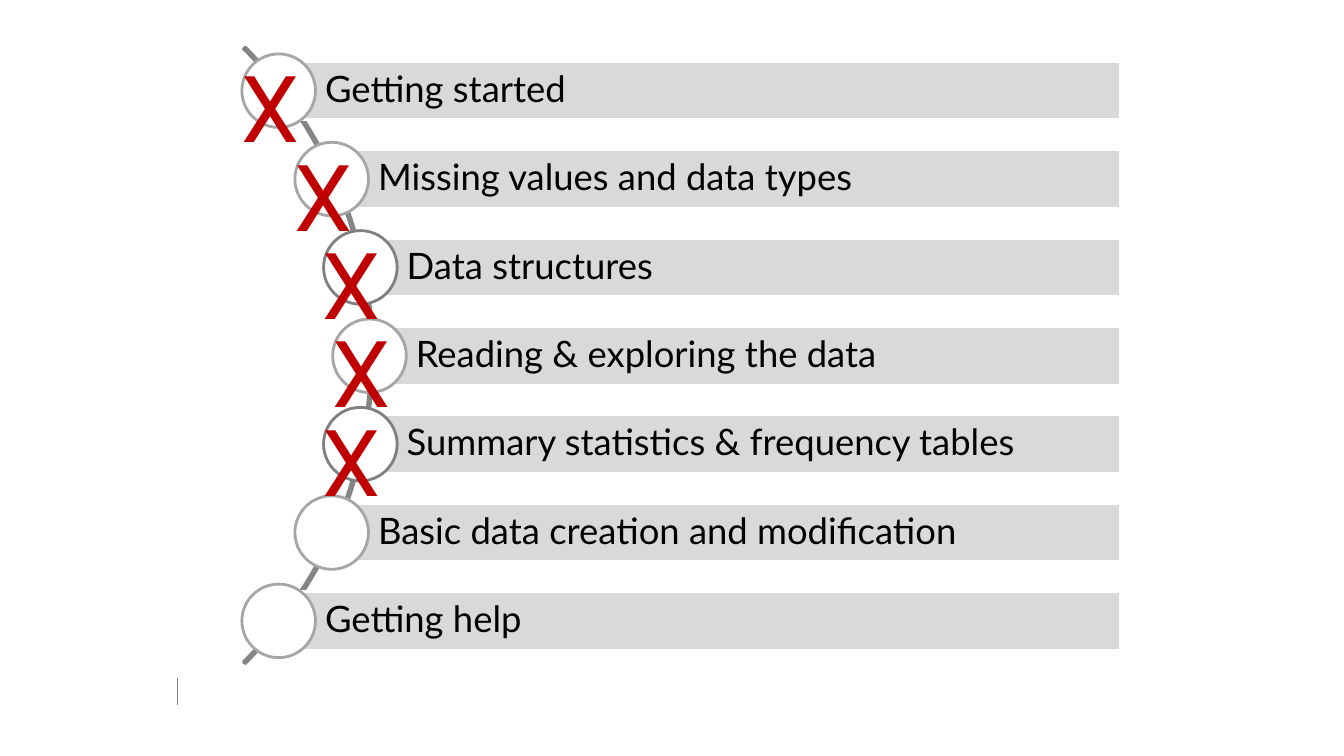
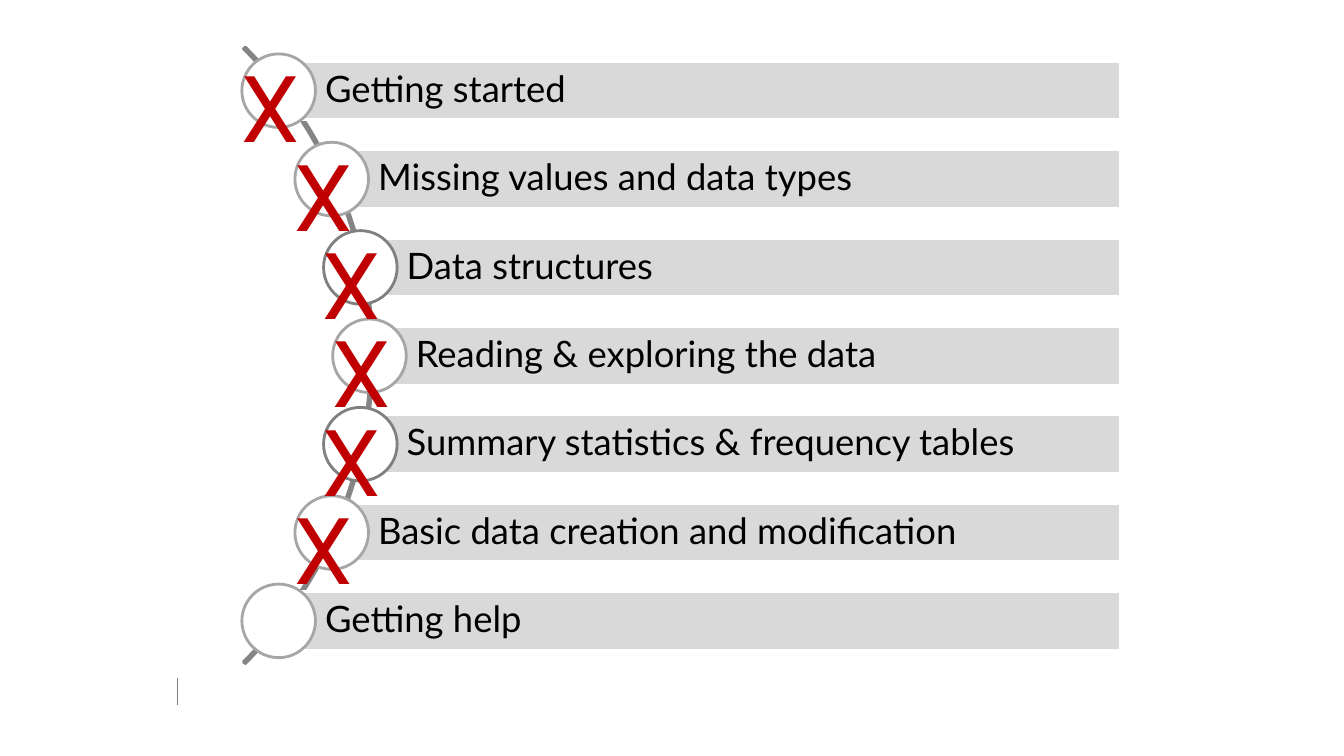
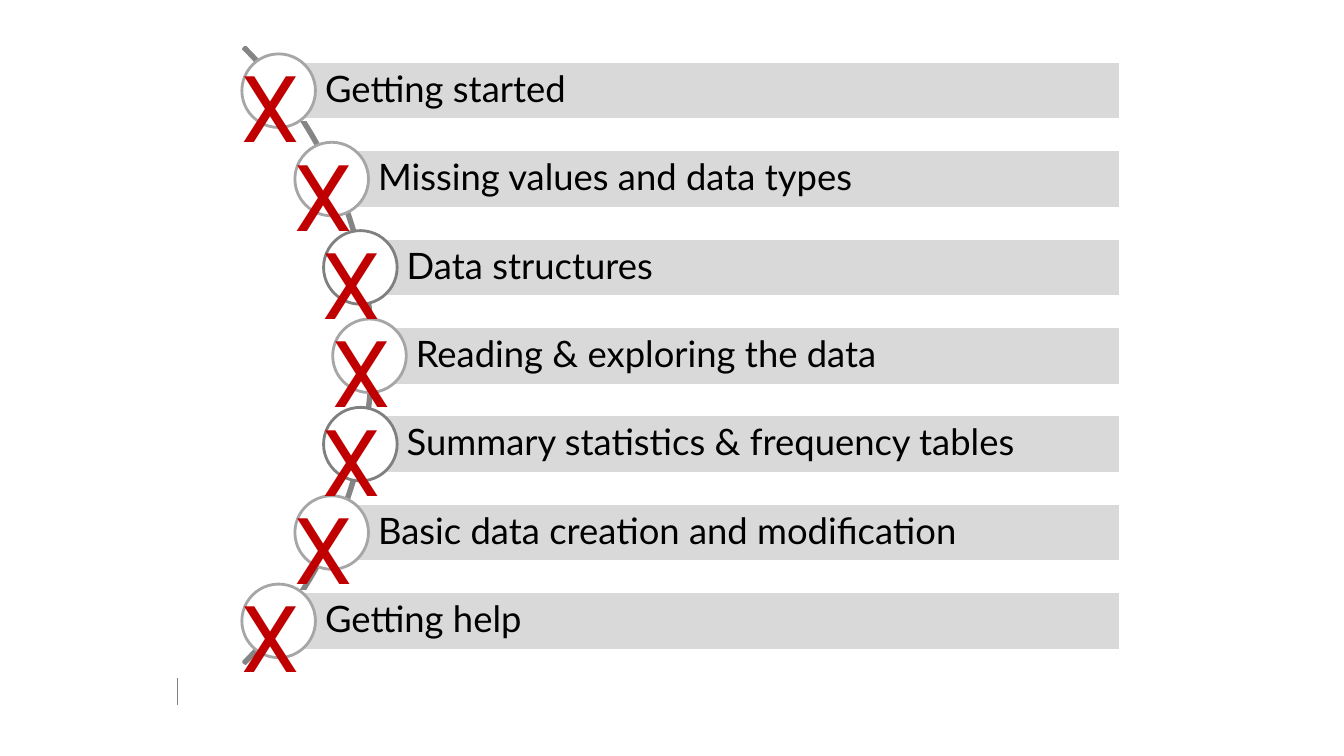
from dataclasses import dataclass
from math import sqrt

from lxml.etree import SubElement
from pptx import Presentation
from pptx.dml.color import RGBColor
from pptx.enum.shapes import MSO_CONNECTOR as Connector, MSO_SHAPE as Preset
from pptx.enum.text import MSO_ANCHOR as Anchor, MSO_AUTO_SIZE as AutoSize, PP_ALIGN as Align
from pptx.oxml.ns import qn
from pptx.util import Inches, Pt


@dataclass(frozen=True)
class Theme:
    white: str = "FFFFFF"
    text: str = "000000"
    bar: str = "D9D9D9"
    arc: str = "858585"
    light_ring: str = "A6A6A6"
    dark_ring: str = "808080"
    mark: str = "C00000"
    label_font: str = "Lato"
    mark_font: str = "Roboto"
    label_size: int = 26
    mark_size: int = 66
    outline: int = 2
    hairline: float = 0.25


theme = Theme()


def add_preset(slide, preset, left, top, width, height, fill=None, line=theme.white):
    shape = slide.shapes.add_shape(
        preset, Inches(left), Inches(top), Inches(width), Inches(height))
    shape.shadow.inherit = False
    if fill:
        shape.fill.solid()
        shape.fill.fore_color.rgb = RGBColor.from_string(fill)
    else:
        shape.fill.background()
    shape.line.color.rgb = RGBColor.from_string(line)
    shape.line.width = Pt(theme.outline)
    return shape


def write_text(shape, text, *, font, size, color, wrap=True, anchor=Anchor.TOP,
               auto_size=AutoSize.NONE, insets=(0.1, 0.05, 0.1, 0.05),
               line_spacing=1.0, space_before=0):
    frame = shape.text_frame
    frame.word_wrap, frame.auto_size, frame.vertical_anchor = wrap, auto_size, anchor
    (frame.margin_left, frame.margin_top,
     frame.margin_right, frame.margin_bottom) = map(Inches, insets)
    paragraph = frame.paragraphs[0]
    paragraph.alignment = Align.LEFT
    paragraph.line_spacing = line_spacing
    paragraph.space_before = Pt(space_before)
    run = paragraph.add_run()
    run.text = text
    run.font.name, run.font.size = font, Pt(size)
    run.font.color.rgb = RGBColor.from_string(color)


# Agenda and the number of finished topics on each slide
topics = [
    "Getting started",
    "Missing values and data types",
    "Data structures",
    "Reading & exploring the data",
    "Summary statistics & frequency tables",
    "Basic data creation and modification",
    "Getting help",
]
finished_counts = [5, 6, 7]

# Grid: equal rows whose circles sit on one arc
first_row, last_row = 0.9, 6.16
row_pitch = (last_row - first_row) / (len(topics) - 1)
arc_left, arc_top, arc_size = -4.95, -0.8, 8.65
arc_center = arc_left + arc_size / 2
middle_row = (first_row + last_row) / 2
circle_orbit = 4.29
bar_right, bar_height = 11.11, 0.58
circle_size = 0.73
mark_width, mark_height = 0.86, 1.21

rows = []
for index, topic in enumerate(topics):
    center_y = first_row + index * row_pitch
    center_x = arc_center + sqrt(circle_orbit ** 2 - (center_y - middle_row) ** 2)
    ring = theme.dark_ring if index in (2, 4) else theme.light_ring
    rows.append((topic, center_x, center_y, ring))

presentation = Presentation()
presentation.slide_width, presentation.slide_height = Inches(13.33), Inches(7.5)
blank_layout = presentation.slide_layouts[6]

for finished in finished_counts:
    slide = presentation.slides.add_slide(blank_layout)

    # Footer tick
    tick = slide.shapes.add_connector(
        Connector.STRAIGHT, Inches(1.76), Inches(6.73), Inches(1.76), Inches(6.99))
    tick.line.color.rgb = RGBColor.from_string(theme.dark_ring)
    tick.line.width = Pt(theme.hairline)
    SubElement(tick.line._get_or_add_ln().getparent(), qn("a:effectLst"))

    # Arc behind the agenda
    arc = add_preset(slide, Preset.BLOCK_ARC, arc_left, arc_top, arc_size, arc_size,
                     line=theme.arc)
    for number, value in enumerate((189, 27, 0.003)):
        arc.adjustments[number] = value

    # Bars and circles
    for topic, center_x, center_y, ring in rows:
        bar = add_preset(slide, Preset.RECTANGLE, center_x, center_y - bar_height / 2,
                         bar_right - center_x, bar_height, fill=theme.bar)
        write_text(bar, topic, font=theme.label_font, size=theme.label_size,
                   color=theme.text, anchor=Anchor.MIDDLE,
                   insets=(0.46, 0.07, 0.07, 0.07), line_spacing=0.9)
        add_preset(slide, Preset.OVAL, center_x - circle_size / 2,
                   center_y - circle_size / 2, circle_size, circle_size,
                   fill=theme.white, line=ring)

    # Marks on finished topics
    for topic, center_x, center_y, ring in rows[:finished]:
        mark = slide.shapes.add_textbox(
            Inches(center_x - 0.47), Inches(center_y - 0.45),
            Inches(mark_width), Inches(mark_height))
        write_text(mark, "X", font=theme.mark_font, size=theme.mark_size,
                   color=theme.mark, wrap=False, auto_size=AutoSize.SHAPE_TO_FIT_TEXT,
                   space_before=0.7)

presentation.save("out.pptx")
